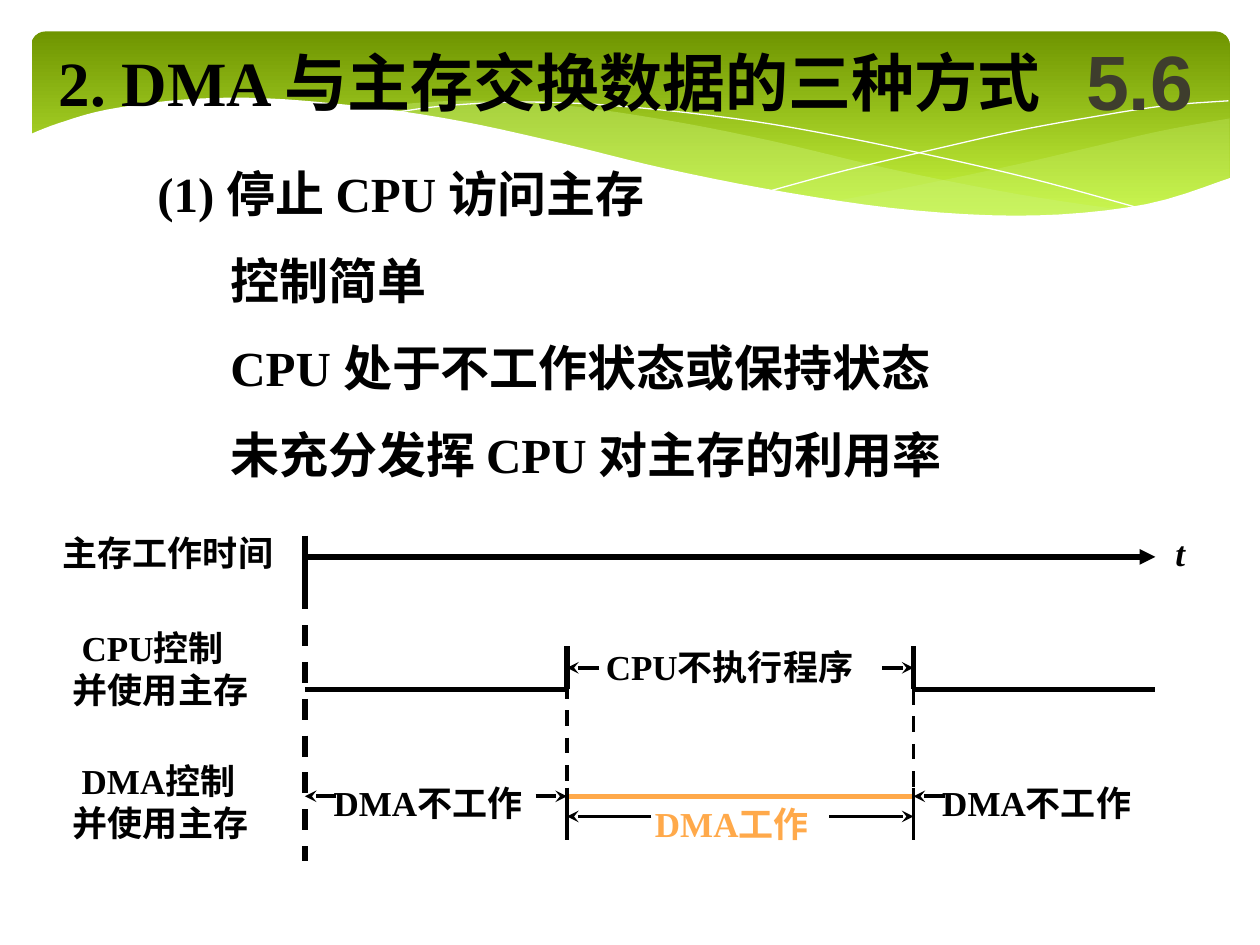
from typing import NamedTuple, Optional

from lxml import etree
from pptx import Presentation
from pptx.dml.color import RGBColor
from pptx.enum.dml import MSO_LINE
from pptx.enum.shapes import MSO_CONNECTOR, MSO_SHAPE
from pptx.enum.text import MSO_ANCHOR, MSO_AUTO_SIZE, PP_ALIGN
from pptx.oxml.ns import qn
from pptx.util import Inches, Pt

STRAIGHT, ROUNDED = MSO_CONNECTOR.STRAIGHT, MSO_SHAPE.ROUNDED_RECTANGLE
DASH = MSO_LINE.DASH
LEFT, CENTER = PP_ALIGN.LEFT, PP_ALIGN.CENTER
TOP, MIDDLE = MSO_ANCHOR.TOP, MSO_ANCHOR.MIDDLE
FIT_SHAPE, NO_FIT = MSO_AUTO_SIZE.SHAPE_TO_FIT_TEXT, MSO_AUTO_SIZE.NONE

COLORS = {"black": "000000", "white": "FFFFFF", "orange": "FFA94A", "number": "3E3D2D",
          "green_dark": "6F9500", "green_light": "D0FF44", "wave": "CAF278"}

Point = tuple[float, float]


class Label(NamedTuple):
    text: str
    left: float
    top: float
    width: float
    height: float = 0.44
    color: str = "black"
    italic: bool = False
    first_indent: float = 0


class Stroke(NamedTuple):
    start: Point
    end: Point
    width: float = 3
    color: str = "black"
    dashed: bool = False
    arrow: Optional[str] = None


def rgb(name: str) -> RGBColor:
    return RGBColor.from_string(COLORS[name])


def smooth_curve(knots: list[Point], steps: int = 5) -> list[Point]:
    """Catmull-Rom curve through the knots."""
    padded = [knots[0], *knots, knots[-1]]
    curve = [knots[0]]
    for a, b, c, d in zip(padded, padded[1:], padded[2:], padded[3:]):
        for step in range(1, steps + 1):
            t = step / steps
            curve.append(tuple(
                0.5 * (2 * q + (r - p) * t + (2 * p - 5 * q + 4 * r - s) * t ** 2
                       + (3 * q - p - 3 * r + s) * t ** 3)
                for p, q, r, s in zip(a, b, c, d)))
    return curve


def add_outline(page, points: list[Point], fill: Optional[str] = None, opacity: int = 100) -> None:
    """A filled area, or an open white hairline when no fill is given."""
    places = [(Inches(x), Inches(y)) for x, y in points]
    builder = page.shapes.build_freeform(*places[0])
    builder.add_line_segments(places[1:], close=fill is not None)
    shape = builder.convert_to_shape()
    shape.shadow.inherit = False
    if fill is None:
        shape.fill.background()
        shape.line.color.rgb = rgb("white")
        shape.line.width = Pt(0)
        return
    shape.fill.solid()
    shape.fill.fore_color.rgb = rgb(fill)
    shape.line.fill.background()
    if opacity < 100:
        color = shape.fill._xPr.find(".//" + qn("a:srgbClr"))
        etree.SubElement(color, qn("a:alpha"), val=str(opacity * 1000))


def add_text(page, text: str, left: float, top: float, width: float, height: float, *,
             size: float, font: str = "Times New Roman", color: str = "black",
             italic: bool = False, wrap: bool = True, fit=FIT_SHAPE,
             align=LEFT, anchor=TOP, first_indent: float = 0) -> None:
    box = page.shapes.add_textbox(Inches(left), Inches(top), Inches(width), Inches(height))
    frame = box.text_frame
    frame.word_wrap, frame.auto_size, frame.vertical_anchor = wrap, fit, anchor
    frame.text = text
    for para in frame.paragraphs:
        para.alignment = align
        for span in para.runs:
            span.font.name, span.font.size = font, Pt(size)
            span.font.bold, span.font.italic = True, italic
            span.font.color.rgb = rgb(color)
    if first_indent:
        frame.paragraphs[0]._p.get_or_add_pPr().set("indent", str(Inches(first_indent)))


def add_stroke(page, stroke: Stroke) -> None:
    ends = [Inches(value) for value in (*stroke.start, *stroke.end)]
    connector = page.shapes.add_connector(STRAIGHT, *ends)
    connector.line.color.rgb = rgb(stroke.color)
    connector.line.width = Pt(stroke.width)
    if stroke.dashed:
        connector.line.dash_style = DASH
    if stroke.arrow:
        etree.SubElement(connector.line._get_or_add_ln(), qn("a:tailEnd"), type=stroke.arrow)
    etree.SubElement(connector._element.spPr, qn("a:effectLst"))


def add_banner(page) -> None:
    banner = page.shapes.add_shape(ROUNDED, Inches(0.25), Inches(0.25), Inches(9.51), Inches(1.56))
    banner.adjustments[0] = 0.07
    banner.shadow.inherit = False
    banner.line.fill.background()
    banner.fill.gradient()
    banner.fill.gradient_angle = 270
    for stop, name in zip(banner.fill.gradient_stops, ("green_dark", "green_light")):
        stop.color.rgb = rgb(name)

    # Translucent bands
    right_top = [(9.76, 0.94), (9.21, 1.04), (8.61, 1.18), (8.05, 1.31), (7.29, 1.47), (6.61, 1.6)]
    right_bottom = [(6.61, 1.6), (7.18, 1.67), (7.81, 1.72), (8.35, 1.72), (8.89, 1.66),
                    (9.35, 1.56), (9.76, 1.41)]
    add_outline(page, smooth_curve(right_top) + smooth_curve(right_bottom), "wave", 29)
    middle_top = [(8.93, 1.67), (8.07, 1.54), (7.06, 1.34), (6.13, 1.12), (5.27, 0.95),
                  (4.41, 0.83), (3.61, 0.8), (2.86, 0.86)]
    middle_bottom = [(2.86, 0.86), (3.62, 0.97), (4.49, 1.16), (5.3, 1.35), (6.18, 1.53),
                     (6.95, 1.65), (7.61, 1.71), (8.28, 1.73), (8.93, 1.67)]
    add_outline(page, smooth_curve(middle_top) + smooth_curve(middle_bottom), "wave", 40)

    # White hairlines
    add_outline(page, smooth_curve([(3.09, 0.9), (3.53, 0.84), (4.16, 0.81), (4.89, 0.84),
                                    (5.82, 0.94), (6.65, 1.08), (7.6, 1.28), (8.31, 1.45),
                                    (9.07, 1.66)]))
    add_outline(page, smooth_curve([(6.13, 1.51), (6.72, 1.35), (7.48, 1.17), (8.06, 1.04),
                                    (8.66, 0.93), (9.24, 0.84), (9.75, 0.8)]))

    # White wave that cuts the lower edge
    wave = [(9.77, 1.41), (9.1, 1.62), (8.23, 1.71), (7.26, 1.67), (6.26, 1.53), (5.29, 1.34),
            (4.47, 1.14), (3.65, 0.96), (2.92, 0.85), (2.11, 0.78), (1.46, 0.79), (0.85, 0.87),
            (0.46, 0.98), (0.23, 1.07)]
    add_outline(page, smooth_curve(wave) + [(0.23, 2.24), (9.77, 2.24)], "white")


def add_timing_diagram(page) -> None:
    # Moments on the time axis and heights of the rows
    origin, dma_start, dma_end, axis_end = 2.42, 4.5, 7.25, 9.17
    axis_y, idle_y, cpu_y, dma_y, work_y = 4.42, 5.3, 5.47, 6.32, 6.48

    strokes = [
        Stroke((origin, 4.25), (origin, 4.67)),
        Stroke((origin, axis_y), (axis_end, axis_y), arrow="triangle"),
        Stroke((origin, 4.67), (origin, 6.83), dashed=True),
        Stroke((origin, cpu_y), (dma_start, cpu_y)),
        Stroke((dma_end, cpu_y), (axis_end, cpu_y)),
        Stroke((dma_start, dma_y), (dma_end, dma_y), color="orange"),
    ]
    for moment, dash_top in ((dma_start, 5.42), (dma_end, 5.25)):
        strokes += [
            Stroke((moment, 5.13), (moment, cpu_y)),
            Stroke((moment, dash_top), (moment, 6.33), 2.25, dashed=True),
            Stroke((moment, 6.25), (moment, 6.67), 2.25),
        ]
    # Span arrows: tip, height, signed length of the tail
    for tip, y, tail in ((dma_start, idle_y, 0.25), (dma_end, idle_y, -0.25),
                         (origin, dma_y, 0.25), (dma_start, dma_y, -0.25),
                         (dma_end, dma_y, 0.25),
                         (dma_start, work_y, 0.67), (dma_end, work_y, -0.67)):
        strokes.append(Stroke((tip + tail, y), (tip, y), 2.25, arrow="stealth"))
    for stroke in strokes:
        add_stroke(page, stroke)

    labels = [
        Label("主存工作时间", 0.4, 4.17, 1.87),
        Label("CPU控制\n并使用主存", 0.48, 4.92, 1.59, 0.77, first_indent=0.07),
        Label("DMA控制\n并使用主存", 0.48, 5.98, 1.59, 0.77, first_indent=0.07),
        Label("t", 9.23, 4.17, 0.27, italic=True),
        Label("CPU不执行程序", 4.71, 5.07, 2.23),
        Label("DMA不工作", 2.55, 6.15, 1.8),
        Label("DMA不工作", 7.38, 6.15, 1.8),
        Label("DMA工作", 5.1, 6.32, 1.5, color="orange"),
    ]
    for label in labels:
        add_text(page, **label._asdict(), size=20, wrap=False)


def main() -> None:
    deck = Presentation()
    deck.slide_width, deck.slide_height = Inches(10), Inches(7.5)
    page = deck.slides.add_slide(deck.slide_layouts[6])
    add_banner(page)

    # Title and section number
    add_text(page, "2. DMA 与主存交换数据的三种方式", 0.37, 0.3, 8.14, 0.7, size=36, wrap=False)
    add_text(page, "5.6", 8.42, 0.17, 1.25, 0.92, size=44, font="Arial", color="number",
             fit=NO_FIT, align=CENTER, anchor=MIDDLE)

    # Method and its traits
    traits = (("(1) 停止 CPU 访问主存", 1.15, 5.68), ("控制简单", 1.73, 3.85),
              ("CPU 处于不工作状态或保持状态", 1.73, 6.43),
              ("未充分发挥 CPU 对主存的利用率", 1.73, 6.77))
    for row, (text, left, width) in enumerate(traits):
        add_text(page, text, left, 1.25 + 0.69 * row, width, 0.57, size=28)

    add_timing_diagram(page)
    deck.save("out.pptx")


if __name__ == "__main__":
    main()
